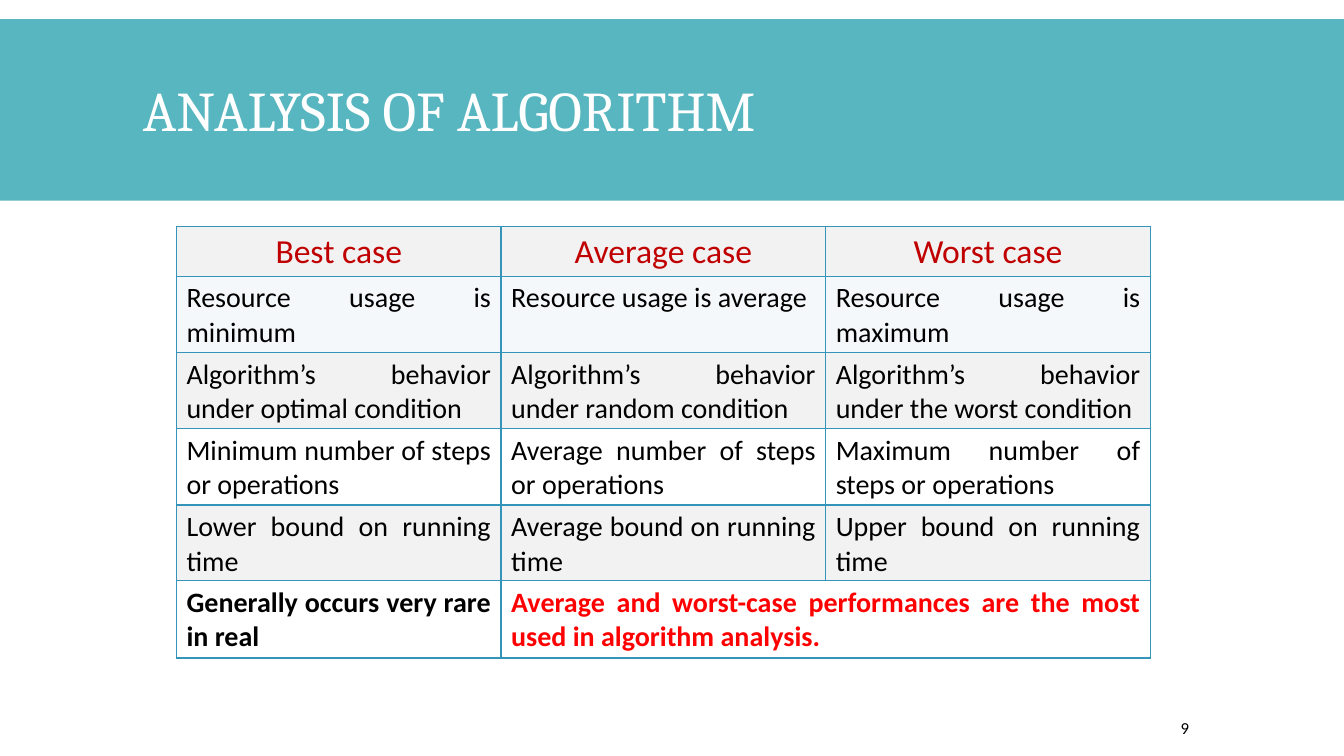
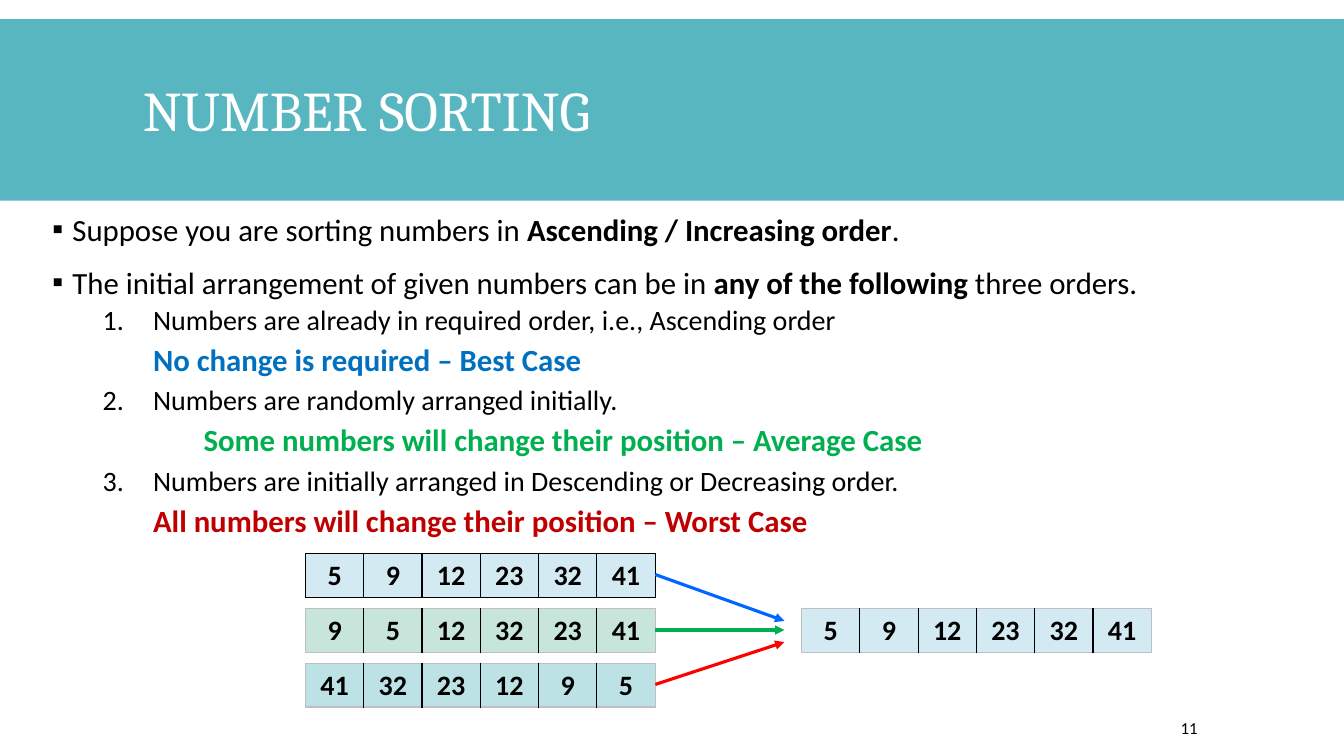
from lxml import etree
from pptx import Presentation
from pptx.dml.color import RGBColor
from pptx.enum.shapes import MSO_CONNECTOR, MSO_SHAPE
from pptx.enum.text import MSO_ANCHOR, PP_ALIGN
from pptx.oxml.ns import qn
from pptx.util import Emu, Pt

PX = 9144  # 100 px to the inch
RECT, STRAIGHT = MSO_SHAPE.RECTANGLE, MSO_CONNECTOR.STRAIGHT
TOP, MIDDLE = MSO_ANCHOR.TOP, MSO_ANCHOR.MIDDLE
CENTER, JUSTIFY = PP_ALIGN.CENTER, PP_ALIGN.JUSTIFY
TITLE_FONT, BODY_FONT = "Cambria", "Calibri"
COLORS = {
    "band": "58B6C0", "white": "FFFFFF", "black": "000000",
    "grid": "3494BA", "edge": "BFBFBF",
    "gray": "F2F2F2", "pale": "F5F8FA",
    "heading": "C00000", "key": "FF0000",
    "best": "0070C0", "average": "00B050", "worst": "C00000",
    "arrow_best": "0066FF", "arrow_worst": "FF0000",
    "cell_best": "D4EAF3", "cell_average": "C8E5DC", "cell_worst": "BCE2E6",
}

# Top, fill and texts of each one-row table
HEADINGS = (225, "gray", ["Best case", "Average case", "Worst case"])
CASES = [
    (274, "pale", ["Resource usage is minimum", "Resource usage is average",
                   "Resource usage is maximum"]),
    (350, "gray", ["Algorithm’s behavior under optimal condition ",
                   "Algorithm’s behavior under random condition ",
                   "Algorithm’s behavior under the worst condition "]),
    (425, "white", ["Minimum number of steps or operations",
                    "Average number of steps or operations",
                    "Maximum number of steps or operations"]),
    (501, "gray", ["Lower bound on running time ",
                   "Average bound on running time ",
                   "Upper bound on running time "]),
]
SUMMARY = (576, "white", [
    "Generally occurs very rare in real",
    "Average and worst-case performances are the most used in algorithm analysis.",
])

BULLETS = [
    [("Suppose you are sorting numbers in ", False),
     ("Ascending / Increasing order", True), (".", False)],
    [("The initial arrangement of given numbers can be in ", False),
     ("any of the following ", True), ("three orders.", False)],
]
# Numbered order, its outcome, outcome colour, outcome indent
ORDERS = [
    ("Numbers are already in required order, i.e., Ascending order",
     "No change is required – Best Case", "best", 100),
    ("Numbers are randomly arranged initially.",
     "Some numbers will change their position – Average Case", "average", 150),
    ("Numbers are initially arranged in Descending or Decreasing order.",
     "All numbers will change their position – Worst Case", "worst", 100),
]
SORTED = [5, 9, 12, 23, 32, 41]
# Values, top, cell fill, outer edge, arrow colour, arrow end
ARRAYS = [
    (SORTED, 549, "cell_best", "black", "arrow_best", 616),
    ([9, 5, 12, 32, 23, 41], 604, "cell_average", "edge", "average", 625),
    ([41, 32, 23, 12, 9, 5], 658, "cell_worst", "edge", "arrow_worst", 637),
]


def px(n):
    return Emu(round(n * PX))


def rgb(name):
    return RGBColor.from_string(COLORS[name])


def style(r, size, color="black", bold=False, font=BODY_FONT):
    r.font.size, r.font.bold, r.font.name = Pt(size), bold, font
    r.font.color.rgb = rgb(color)


def add_text(s, at, anchor=TOP):
    tf = s.shapes.add_textbox(*map(px, at)).text_frame
    tf.word_wrap = True
    tf.vertical_anchor = anchor
    return tf


def add_label(s, at, text, size, **look):
    tf = add_text(s, at, MIDDLE)
    tf.text = text
    style(tf.paragraphs[0].runs[0], size, **look)
    return tf


def add_frame(prs, title, number):
    """Add a slide with the shared band, title and page number."""
    s = prs.slides.add_slide(prs.slide_layouts[6])
    band = s.shapes.add_shape(RECT, 0, px(19), prs.slide_width, px(180))
    band.shadow.inherit = False
    band.fill.solid()
    band.fill.fore_color.rgb = rgb("band")
    band.line.fill.background()
    tf = add_label(s, (132, 31, 1070, 165), title, 40,
                   color="white", font=TITLE_FONT)
    tf.paragraphs[0].line_spacing = 0.85
    tf = add_label(s, (1166, 702, 103, 40), str(number), 12)
    tf.margin_left = px(5)
    return s


# Tables

def set_borders(cell, borders):
    """Draw borders given as (colour, points) for left, right, top, bottom."""
    tc_pr = cell._tc.get_or_add_tcPr()
    for side, (color, width) in zip("LRTB", borders):
        ln = etree.SubElement(tc_pr, qn(f"a:ln{side}"), w=str(Pt(width)))
        fill = etree.SubElement(ln, qn("a:solidFill"))
        etree.SubElement(fill, qn("a:srgbClr"), val=COLORS[color])


def add_row_table(s, at, widths, fill):
    """Add a one-row table and return its cells."""
    table = s.shapes.add_table(1, len(widths), *map(px, at)).table
    table.first_row = table.horz_banding = False
    for col, width in zip(table.columns, widths):
        col.width = px(width)
    return [table.cell(0, j) for j in range(len(widths))]


def fill_cell(cell, text, fill, borders, align, size, **look):
    set_borders(cell, borders)
    cell.fill.solid()
    cell.fill.fore_color.rgb = rgb(fill)
    cell.text_frame.text = text
    p = cell.text_frame.paragraphs[0]
    p.alignment = align
    style(p.runs[0], size, **look)


def add_case_row(s, row, height=77, widths=(322, 322, 322), align=JUSTIFY,
                 size=20, colors=("black",) * 3, bold=False):
    top, fill, texts = row
    borders = [("grid", 1)] * 3 + [("grid", 2)]
    cells = add_row_table(s, (175, top, sum(widths), height), widths, fill)
    for cell, text, color in zip(cells, texts, colors):
        fill_cell(cell, text, fill, borders, align, size,
                  color=color, bold=bold)


def add_array(s, left, top, values, fill, edge):
    width, last = 347, len(values) - 1
    widths = [width / len(values)] * len(values)
    cells = add_row_table(s, (left, top, width, 43), widths, fill)
    inner, outer = ("black", 1), (edge, 1)
    for j, (cell, value) in enumerate(zip(cells, values)):
        borders = (inner if j else outer, inner if j < last else outer,
                   outer, outer)
        fill_cell(cell, str(value), fill, borders, CENTER, 20, bold=True)


def add_arrow(s, x1, y1, x2, y2, color):
    line = s.shapes.add_connector(STRAIGHT, *map(px, (x1, y1, x2, y2)))
    line.line.color.rgb = rgb(color)
    line.line.width = Pt(2.25)
    etree.SubElement(line.line._get_or_add_ln(), qn("a:tailEnd"),
                     type="triangle")
    etree.SubElement(line._element.spPr, qn("a:effectLst"))


# List paragraphs

def add_item(tf, runs, size, indent, before, after, level=0, hang=0,
             marker=None, color="black"):
    """Add a paragraph; marker is a bullet character or a list number."""
    first = tf.paragraphs[0]
    p = tf.add_paragraph() if first.runs else first
    p.level = level
    p.line_spacing = 0.9
    p.space_before, p.space_after = Pt(before), Pt(after)
    p_pr = p._p.get_or_add_pPr()
    p_pr.set("marL", str(px(indent)))
    p_pr.set("indent", str(px(-hang)))
    if isinstance(marker, int):
        etree.SubElement(p_pr, qn("a:buAutoNum"), type="arabicPeriod",
                         startAt=str(marker))
    elif marker:
        etree.SubElement(p_pr, qn("a:buFont"), typeface=BODY_FONT)
        etree.SubElement(p_pr, qn("a:buChar"), char=marker)
    for text, bold in runs:
        r = p.add_run()
        r.text = text
        style(r, size, color, bold)


def add_order_list(s):
    tf = add_text(s, (42, 208, 1242, 460))
    for runs in BULLETS:
        add_item(tf, runs, 22, 20, 12, 2, hang=20, marker="▪")
    for n, (order, outcome, color, indent) in enumerate(ORDERS, 1):
        add_item(tf, [(order, False)], 20, 100, 2, 4, level=1, hang=50,
                 marker=n)
        add_item(tf, [(outcome, True)], 22, indent, 2, 4, level=2,
                 color=color)


def main():
    prs = Presentation()
    prs.slide_width, prs.slide_height = px(1333), px(750)

    # Comparison of the three cases
    s = add_frame(prs, "ANALYSIS OF ALGORITHM", 9)
    add_case_row(s, HEADINGS, height=50, align=CENTER, size=24,
                 colors=("heading",) * 3)
    for row in CASES:
        add_case_row(s, row)
    add_case_row(s, SUMMARY, widths=(322, 644), colors=("black", "key"),
                 bold=True)

    # Three initial orders leading to one sorted array
    s = add_frame(prs, "NUMBER SORTING", 11)
    add_order_list(s)
    for values, top, fill, edge, color, end in ARRAYS:
        add_array(s, 303, top, values, fill, edge)
        add_arrow(s, 650, top + 21, 778, end, color)
    add_array(s, 795, 604, SORTED, "cell_best", "edge")

    prs.save("out.pptx")


if __name__ == "__main__":
    main()
